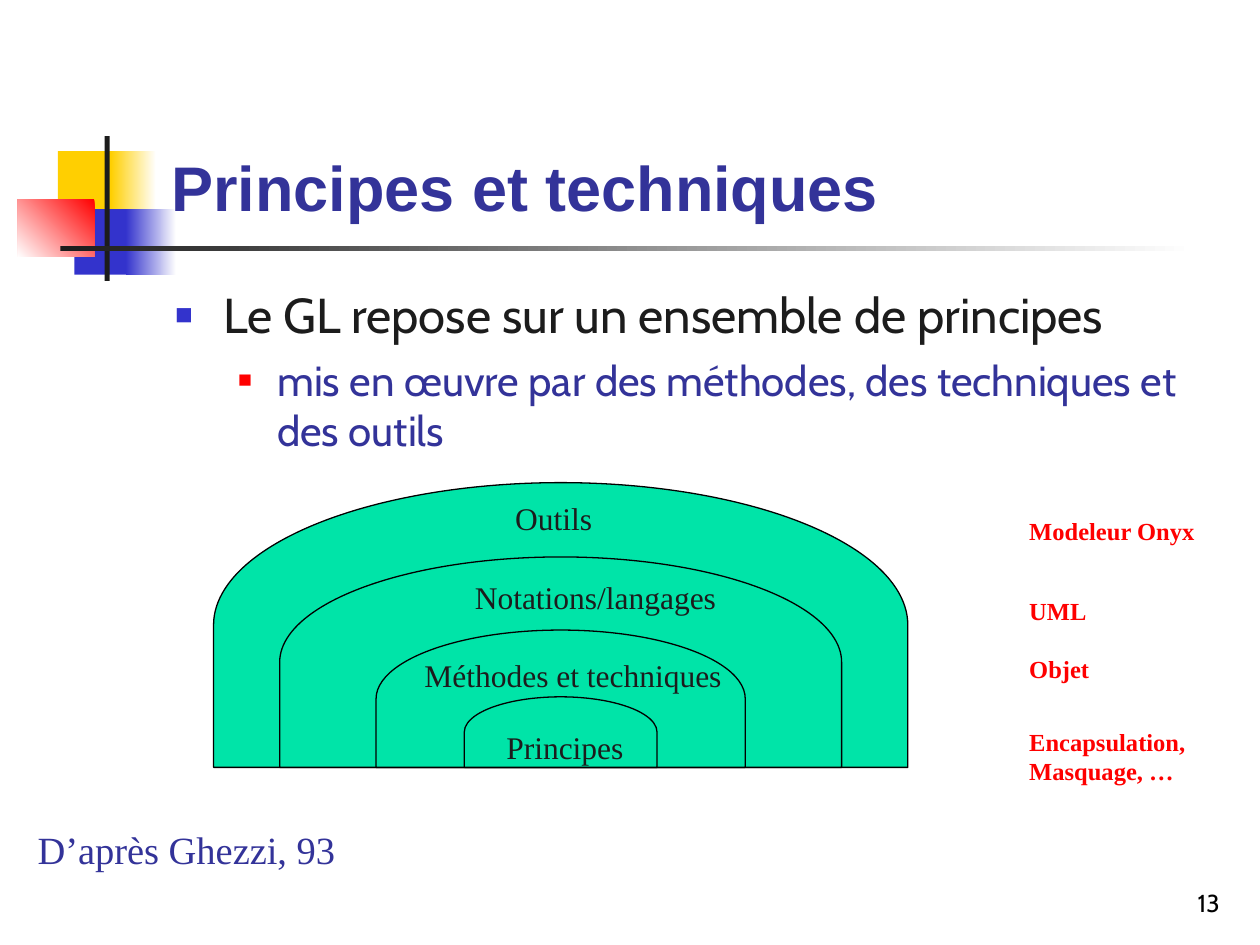
from dataclasses import dataclass
from typing import Optional

from lxml.etree import SubElement
from pptx import Presentation
from pptx.dml.color import RGBColor
from pptx.enum.shapes import MSO_SHAPE
from pptx.enum.text import MSO_ANCHOR, MSO_AUTO_SIZE, PP_ALIGN
from pptx.oxml.ns import qn
from pptx.util import Inches, Pt

WHITE = RGBColor(0xFF, 0xFF, 0xFF)
BLACK = RGBColor(0x00, 0x00, 0x00)
INK = RGBColor(0x1C, 0x1C, 0x1C)
YELLOW = RGBColor(0xFF, 0xCF, 0x01)
BLUE = RGBColor(0x33, 0x33, 0xCC)
NAVY = RGBColor(0x33, 0x33, 0x99)
RED = RGBColor(0xFF, 0x00, 0x00)
EXAMPLE_RED = RGBColor(0xFE, 0x00, 0x00)
GREEN = RGBColor(0x00, 0xE4, 0xA8)
SERIF = "Times New Roman"
SANS = "Cabin"
LAYER_CENTER = 4.45
LAYER_BOTTOM = 6.09
EXAMPLE_LEFT = 8.07
EXAMPLE_WIDTH = 1.65


@dataclass
class Block:
    left: float
    top: float
    width: float
    height: float
    color: RGBColor
    fade_to: Optional[RGBColor] = None
    angle: float = 0


@dataclass
class Layer:
    width: float
    height: float


@dataclass
class Style:
    size: int
    color: RGBColor
    font: str = SERIF
    bold: bool = False


@dataclass
class Label:
    lines: tuple
    left: float
    top: float
    width: float
    height: float
    style: Style


@dataclass
class Bullet:
    text: str
    level: int
    margin: float
    indent: float
    space_before: int
    color: RGBColor
    percent: int
    style: Style


LAYER_STYLE = Style(18, INK)
EXAMPLE_STYLE = Style(14, EXAMPLE_RED, bold=True)

BLOCKS = [
    Block(0.46, 1.2, 0.48, 0.52, YELLOW),
    Block(0.88, 1.2, 0.36, 0.52, YELLOW, WHITE),
    Block(0.59, 1.66, 0.46, 0.52, BLUE),
    Block(1, 1.66, 0.4, 0.52, BLUE, WHITE),
    Block(0.14, 1.58, 0.61, 0.46, RED, WHITE, 225),
    Block(0.83, 1.08, 0.04, 1.15, INK),
    Block(0.48, 1.95, 9, 0.04, INK, WHITE),
]

LAYERS = [Layer(5.51, 2.26), Layer(4.46, 1.67), Layer(2.93, 1.09), Layer(1.53, 0.56)]

LABELS = [
    Label(("Principes",), 3.92, 5.73, 1.25, 0.4, LAYER_STYLE),
    Label(("Méthodes et techniques",), 3.27, 5.16, 2.65, 0.4, LAYER_STYLE),
    Label(("Notations/langages",), 3.67, 4.54, 2.25, 0.4, LAYER_STYLE),
    Label(("Outils",), 3.99, 3.91, 0.95, 0.4, LAYER_STYLE),
    Label(("D’après Ghezzi, 93",), 0.2, 6.51, 2.7, 0.47, Style(22, NAVY)),
    Label(("Encapsulation,", "Masquage, …"),
          EXAMPLE_LEFT, 5.72, EXAMPLE_WIDTH, 0.57, EXAMPLE_STYLE),
    Label(("Objet",), EXAMPLE_LEFT, 5.14, EXAMPLE_WIDTH, 0.34, EXAMPLE_STYLE),
    Label(("UML",), EXAMPLE_LEFT, 4.68, EXAMPLE_WIDTH, 0.34, EXAMPLE_STYLE),
    Label(("Modeleur Onyx",), EXAMPLE_LEFT, 4.05, EXAMPLE_WIDTH, 0.34, EXAMPLE_STYLE),
]

BULLETS = [
    Bullet("Le GL repose sur un ensemble de principes",
           0, 0.38, -0.38, 0, BLUE, 60, Style(28, INK, SANS)),
    Bullet("mis en œuvre par des méthodes, des techniques et des outils",
           1, 0.81, -0.31, 6, RED, 55, Style(24, NAVY, SANS)),
]


def place(shape, left: float, top: float, width: float, height: float) -> None:
    shape.left, shape.top = Inches(left), Inches(top)
    shape.width, shape.height = Inches(width), Inches(height)


def add_run(paragraph, text: str, style: Style) -> None:
    run = paragraph.add_run()
    run.text = text
    run.font.name = style.font
    run.font.size = Pt(style.size)
    run.font.bold = style.bold
    run.font.color.rgb = style.color


def add_block(slide, block: Block) -> None:
    shape = slide.shapes.add_shape(
        MSO_SHAPE.RECTANGLE, Inches(block.left), Inches(block.top),
        Inches(block.width), Inches(block.height))
    shape.shadow.inherit = False
    shape.line.fill.background()
    if block.fade_to is None:
        shape.fill.solid()
        shape.fill.fore_color.rgb = block.color
        return
    shape.fill.gradient()
    shape.fill.gradient_angle = block.angle
    for stop, color in zip(shape.fill.gradient_stops, (block.color, block.fade_to)):
        stop.color.rgb = color
    shape.fill.gradient_stops[0].position = 0
    shape.fill.gradient_stops[1].position = 1


def add_layer(slide, layer: Layer) -> None:
    left = LAYER_CENTER - layer.height / 2
    top = LAYER_BOTTOM - layer.height / 2 - layer.width / 2
    shape = slide.shapes.add_shape(
        MSO_SHAPE.FLOWCHART_DELAY, Inches(left), Inches(top),
        Inches(layer.height), Inches(layer.width))
    shape.rotation = 270
    shape.shadow.inherit = False
    shape.fill.solid()
    shape.fill.fore_color.rgb = GREEN
    shape.line.color.rgb = BLACK
    shape.line.width = Pt(0.75)


def add_label(slide, label: Label) -> None:
    box = slide.shapes.add_textbox(
        Inches(label.left), Inches(label.top), Inches(label.width), Inches(label.height))
    frame = box.text_frame
    frame.word_wrap = True
    frame.auto_size = MSO_AUTO_SIZE.NONE
    for index, line in enumerate(label.lines):
        paragraph = frame.add_paragraph() if index else frame.paragraphs[0]
        add_run(paragraph, line, label.style)


def add_bullet(paragraph, bullet: Bullet) -> None:
    paragraph.level = bullet.level
    paragraph.alignment = PP_ALIGN.LEFT
    paragraph.space_before = Pt(bullet.space_before)
    properties = paragraph._p.get_or_add_pPr()
    properties.set("marL", str(Inches(bullet.margin)))
    properties.set("indent", str(Inches(bullet.indent)))
    color = SubElement(properties, qn("a:buClr"))
    SubElement(color, qn("a:srgbClr"), val=str(bullet.color))
    SubElement(properties, qn("a:buSzPct"), val=str(bullet.percent * 1000))
    SubElement(properties, qn("a:buFont"), typeface="Arial")
    SubElement(properties, qn("a:buChar"), char="■")
    add_run(paragraph, bullet.text, bullet.style)


def fill_title(title) -> None:
    place(title, 1.26, 0.23, 8.52, 1.6)
    frame = title.text_frame
    frame.auto_size = MSO_AUTO_SIZE.NONE
    frame.vertical_anchor = MSO_ANCHOR.BOTTOM
    frame.paragraphs[0].alignment = PP_ALIGN.LEFT
    add_run(frame.paragraphs[0], "Principes et techniques", Style(36, NAVY, "Arial", True))


def fill_body(body) -> None:
    place(body, 1.29, 2.21, 8.5, 2.17)
    frame = body.text_frame
    frame.auto_size = MSO_AUTO_SIZE.NONE
    for index, bullet in enumerate(BULLETS):
        add_bullet(frame.add_paragraph() if index else frame.paragraphs[0], bullet)


def add_slide_number(slide) -> None:
    box = slide.shapes.add_textbox(Inches(7.7), Inches(6.83), Inches(2.08), Inches(0.5))
    frame = box.text_frame
    frame.word_wrap = True
    frame.vertical_anchor = MSO_ANCHOR.BOTTOM
    frame.paragraphs[0].alignment = PP_ALIGN.RIGHT
    add_run(frame.paragraphs[0], "13", Style(14, BLACK, SANS))


def main() -> None:
    presentation = Presentation()
    presentation.slide_width, presentation.slide_height = Inches(10), Inches(7.5)
    slide = presentation.slides.add_slide(presentation.slide_layouts[1])
    title, body = slide.shapes.title, slide.placeholders[1]
    for block in BLOCKS:
        add_block(slide, block)
    for layer in LAYERS:
        add_layer(slide, layer)
    for label in LABELS:
        add_label(slide, label)
    fill_title(title)
    fill_body(body)
    for placeholder in (title, body):
        slide.shapes._spTree.append(placeholder._element)
    add_slide_number(slide)
    presentation.save("out.pptx")


if __name__ == "__main__":
    main()
